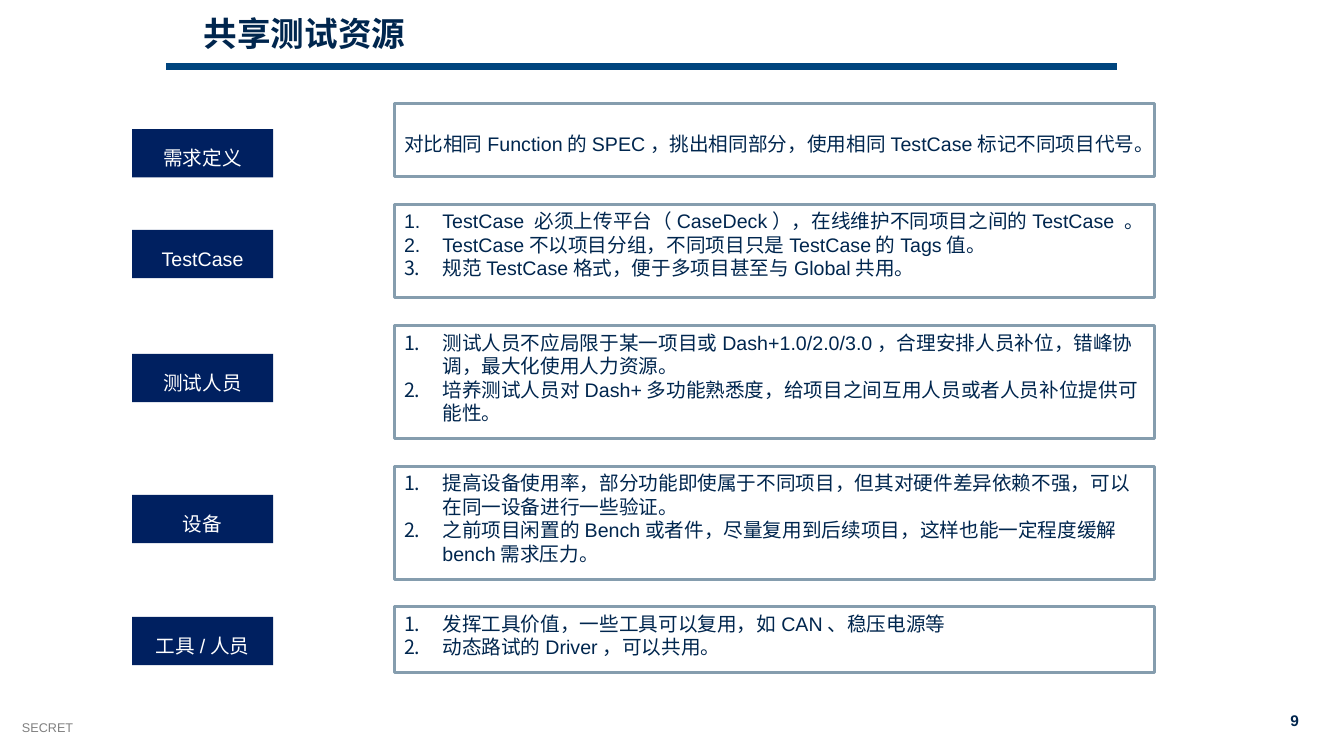
from dataclasses import dataclass

from lxml import etree
from pptx import Presentation
from pptx.dml.color import RGBColor
from pptx.enum import lang, shapes, text
from pptx.oxml.ns import qn
from pptx.util import Inches, Pt

TITLE = "共享测试资源"
CLASSIFICATION = "SECRET"
PAGE_NUMBER = "9"

# label, label top, box height, paragraphs
TOPICS = [
    ("需求定义", 1.28, 0.72, [
        "对比相同Function的SPEC，挑出相同部分，使用相同TestCase标记不同项目代号。",
    ]),
    ("TestCase", 2.28, 0.93, [
        "TestCase 必须上传平台（CaseDeck），在线维护不同项目之间的TestCase 。",
        "TestCase不以项目分组，不同项目只是TestCase的Tags值。",
        "规范TestCase格式，便于多项目甚至与Global共用。",
    ]),
    ("测试人员", 3.51, 1.12, [
        "测试人员不应局限于某一项目或Dash+1.0/2.0/3.0，合理安排人员补位，错峰协调，最大化使用人力资源。",
        "培养测试人员对Dash+多功能熟悉度，给项目之间互用人员或者人员补位提供可能性。",
    ]),
    ("设备", 4.91, 1.12, [
        "提高设备使用率，部分功能即使属于不同项目，但其对硬件差异依赖不强，可以在同一设备进行一些验证。",
        "之前项目闲置的Bench或者件，尽量复用到后续项目，这样也能一定程度缓解bench需求压力。",
    ]),
    ("工具/人员", 6.12, 0.65, [
        "发挥工具价值，一些工具可以复用，如CAN、稳压电源等",
        "动态路试的Driver，可以共用。",
    ]),
]

LABEL_LEFT, LABEL_WIDTH, LABEL_HEIGHT = 1.31, 1.4, 0.48
BOX_LEFT, BOX_WIDTH, BOX_TOP, BOX_GAP = 3.91, 7.54, 1.03, 0.275
NUMBER_INDENT = 0.38


@dataclass(frozen=True)
class Theme:
    font: str = "Arial"
    ink: str = "00264E"
    rule: str = "00457E"
    label: str = "002060"
    border: str = "859DAE"
    white: str = "FFFFFF"
    grey: str = "808080"
    title_size: int = 24
    body_size: int = 14
    number_size: int = 11
    footer_size: int = 9


THEME = Theme()


def color(value):
    return RGBColor.from_string(value)


def write(paragraph, words, size, ink, bold=False,
          align=text.PP_ALIGN.LEFT, spacing=1.0):
    paragraph.alignment = align
    paragraph.line_spacing = spacing
    run = paragraph.add_run()
    run.text = words
    run.font.name = THEME.font
    run.font.size = Pt(size)
    run.font.bold = bold
    run.font.color.rgb = color(ink)
    run.font.language_id = lang.MSO_LANGUAGE_ID.SIMPLIFIED_CHINESE


def number(paragraph):
    """Give the paragraph an automatic number and a hanging indent."""
    properties = paragraph._p.get_or_add_pPr()
    properties.set("marL", str(Inches(NUMBER_INDENT)))
    properties.set("indent", str(-Inches(NUMBER_INDENT)))
    etree.SubElement(properties, qn("a:buFont"), typeface="+mj-lt")
    etree.SubElement(properties, qn("a:buAutoNum"), type="arabicPeriod")


def add_rectangle(slide, left, top, width, height):
    rectangle = slide.shapes.add_shape(
        shapes.MSO_SHAPE.RECTANGLE,
        Inches(left), Inches(top), Inches(width), Inches(height))
    rectangle.shadow.inherit = False
    rectangle.text_frame.word_wrap = True
    rectangle.text_frame.vertical_anchor = text.MSO_ANCHOR.TOP
    return rectangle


def add_label(slide, words, top):
    label = add_rectangle(slide, LABEL_LEFT, top, LABEL_WIDTH, LABEL_HEIGHT)
    label.fill.solid()
    label.fill.fore_color.rgb = color(THEME.label)
    label.line.fill.background()
    write(label.text_frame.paragraphs[0], words, THEME.body_size, THEME.white,
          align=text.PP_ALIGN.CENTER, spacing=1.5)


def add_box(slide, lines, top, height):
    box = add_rectangle(slide, BOX_LEFT, top, BOX_WIDTH, height)
    box.fill.background()
    box.line.color.rgb = color(THEME.border)
    box.line.width = Pt(2.25)
    numbered = len(lines) > 1
    frame = box.text_frame
    for index, line in enumerate(lines):
        paragraph = frame.add_paragraph() if index else frame.paragraphs[0]
        write(paragraph, line, THEME.body_size, THEME.ink,
              spacing=1.0 if numbered else 2.0)
        if numbered:
            number(paragraph)


def add_title(slide):
    title = slide.shapes.title
    title.left, title.top = Inches(1.92), Inches(0.12)
    title.width, title.height = Inches(11.85), Inches(0.63)
    title.text_frame.vertical_anchor = text.MSO_ANCHOR.TOP
    title.text_frame.auto_size = text.MSO_AUTO_SIZE.NONE
    write(title.text_frame.paragraphs[0], TITLE, THEME.title_size, THEME.ink,
          bold=True, spacing=0.9)


def add_title_rule(slide):
    rule = slide.shapes.add_connector(
        shapes.MSO_CONNECTOR.STRAIGHT,
        Inches(1.65), Inches(0.66), Inches(11.08), Inches(0.66))
    rule.line.color.rgb = color(THEME.rule)
    rule.line.width = Pt(4.5)
    etree.SubElement(rule._element.spPr, qn("a:effectLst"))


def add_note(slide, words, left, top, width, height, size, ink, **style):
    note = slide.shapes.add_textbox(
        Inches(left), Inches(top), Inches(width), Inches(height))
    note.text_frame.word_wrap = True
    write(note.text_frame.paragraphs[0], words, size, ink, **style)


def main():
    presentation = Presentation()
    presentation.slide_width = Inches(13.33)
    presentation.slide_height = Inches(7.5)
    slide = presentation.slides.add_slide(presentation.slide_layouts[5])

    add_note(slide, CLASSIFICATION, 0.12, 7.09, 3, 0.25,
             THEME.footer_size, THEME.grey)
    add_note(slide, PAGE_NUMBER, 12.59, 7.01, 0.39, 0.29, THEME.number_size,
             THEME.ink, bold=True, align=text.PP_ALIGN.RIGHT)
    add_title_rule(slide)
    add_title(slide)

    box_top = BOX_TOP
    for label, label_top, box_height, lines in TOPICS:
        add_label(slide, label, label_top)
        add_box(slide, lines, box_top, box_height)
        box_top += box_height + BOX_GAP

    presentation.save("out.pptx")


if __name__ == "__main__":
    main()
